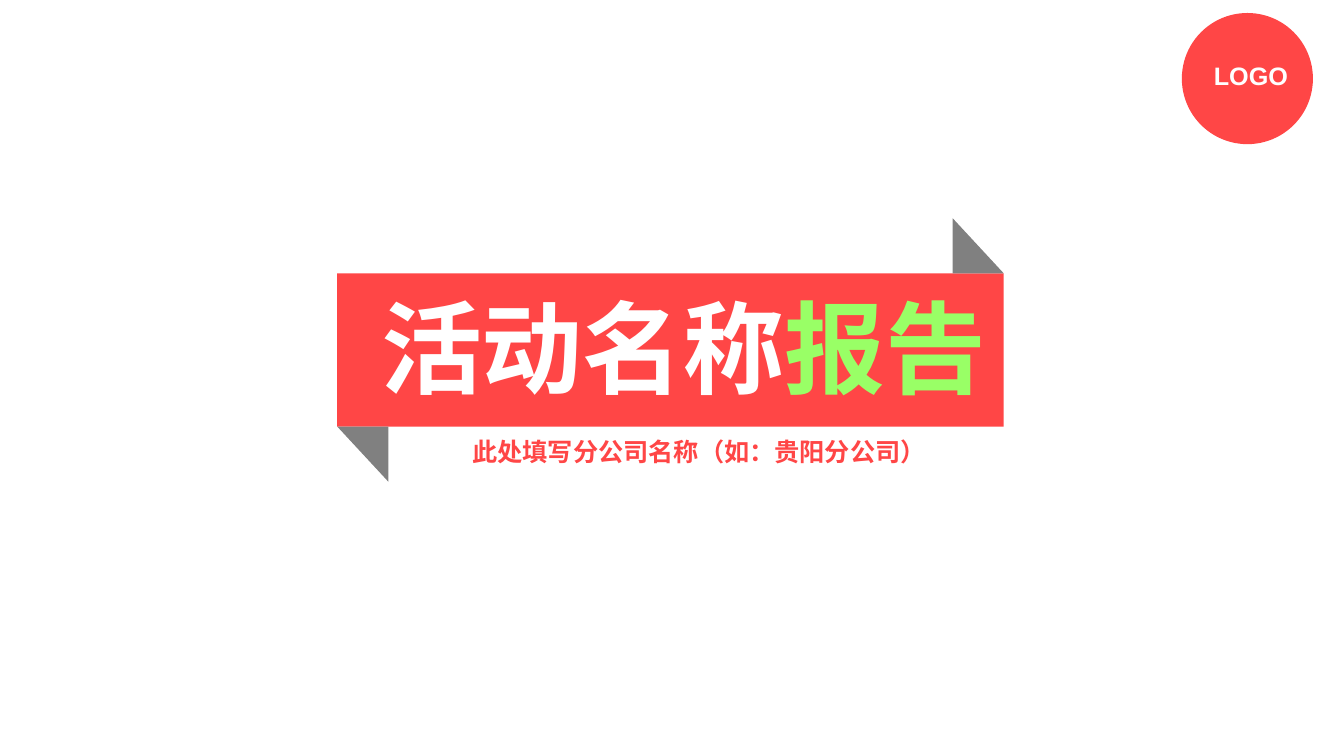
from lxml import etree
from pptx import Presentation
from pptx import util as u
from pptx.dml.color import RGBColor
from pptx.enum import shapes, text
from pptx.oxml import ns

PX = 9080  # EMU in one px
SLIDE = (1343, 755)
COLOURS = {"red": "FF4646", "grey": "808080", "white": "FFFFFF", "green": "99FF66"}
CJK = "Noto Sans CJK SC"

BAND = (337, 273, 666, 153)
FOLD = (51, 55)
BADGE = (1181, 13, 131, 131)
TITLE = {"at": (376, 285, 614, 129), "insets": (0, 0, 0, 8), "size": 72, "font": CJK,
         "align": text.PP_ALIGN.CENTER, "anchor": text.MSO_ANCHOR.MIDDLE,
         "runs": [("活动名称", "white"), ("报告", "green")]}
LABEL = {"insets": (10, 5, 10, 5), "size": 18, "font": "Arial",
         "anchor": text.MSO_ANCHOR.TOP}
COMPANY = {**LABEL, "at": (395, 431, 607, 40), "align": text.PP_ALIGN.CENTER,
           "runs": [("此处填写分公司名称（如：贵阳分公司）", "red")]}
BADGE_LABEL = {**LABEL, "at": (1203, 55, 102, 40), "align": text.PP_ALIGN.LEFT,
               "runs": [("LOGO", "white")]}


def emu(lengths):
    return [u.Emu(length * PX) for length in lengths]


def add_filled(slide, kind, at, colour):
    shape = slide.shapes.add_shape(kind, *emu(at))
    shape.shadow.inherit = False
    shape.fill.solid()
    shape.fill.fore_color.rgb = RGBColor.from_string(COLOURS[colour])
    shape.line.fill.background()
    return shape


def add_fold(slide, left, top, rotation):
    fold = add_filled(slide, shapes.MSO_SHAPE.ISOSCELES_TRIANGLE, (left, top, *FOLD), "grey")
    fold.adjustments[0] = 0
    fold.rotation = rotation


def write(box, content):
    box.left, box.top, box.width, box.height = emu(content["at"])
    frame = box.text_frame
    frame.word_wrap = True
    frame.auto_size = text.MSO_AUTO_SIZE.NONE
    frame.vertical_anchor = content["anchor"]
    (frame.margin_left, frame.margin_top,
     frame.margin_right, frame.margin_bottom) = emu(content["insets"])
    para = frame.paragraphs[0]
    para.alignment = content["align"]
    for words, colour in content["runs"]:
        span = para.add_run()
        span.text = words
        span.font.size = u.Pt(content["size"])
        span.font.bold = True
        span.font.name = content["font"]
        span.font.color.rgb = RGBColor.from_string(COLOURS[colour])
        east_asian = etree.SubElement(span.font._element, ns.qn("a:ea"))
        east_asian.set("typeface", CJK)


def main():
    deck = Presentation()
    deck.slide_width, deck.slide_height = emu(SLIDE)
    slide = deck.slides.add_slide(deck.slide_layouts[5])

    left, top, width, height = BAND
    add_filled(slide, shapes.MSO_SHAPE.RECTANGLE, BAND, "red")
    add_fold(slide, left + width - FOLD[0], top - FOLD[1], 0)
    add_fold(slide, left, top + height, 180)

    title = slide.shapes.title
    title._element.getparent().append(title._element)  # bring in front of the band
    write(title, TITLE)
    write(slide.shapes.add_textbox(0, 0, 0, 0), COMPANY)

    add_filled(slide, shapes.MSO_SHAPE.OVAL, BADGE, "red")
    write(slide.shapes.add_textbox(0, 0, 0, 0), BADGE_LABEL)
    deck.save("out.pptx")


if __name__ == "__main__":
    main()
